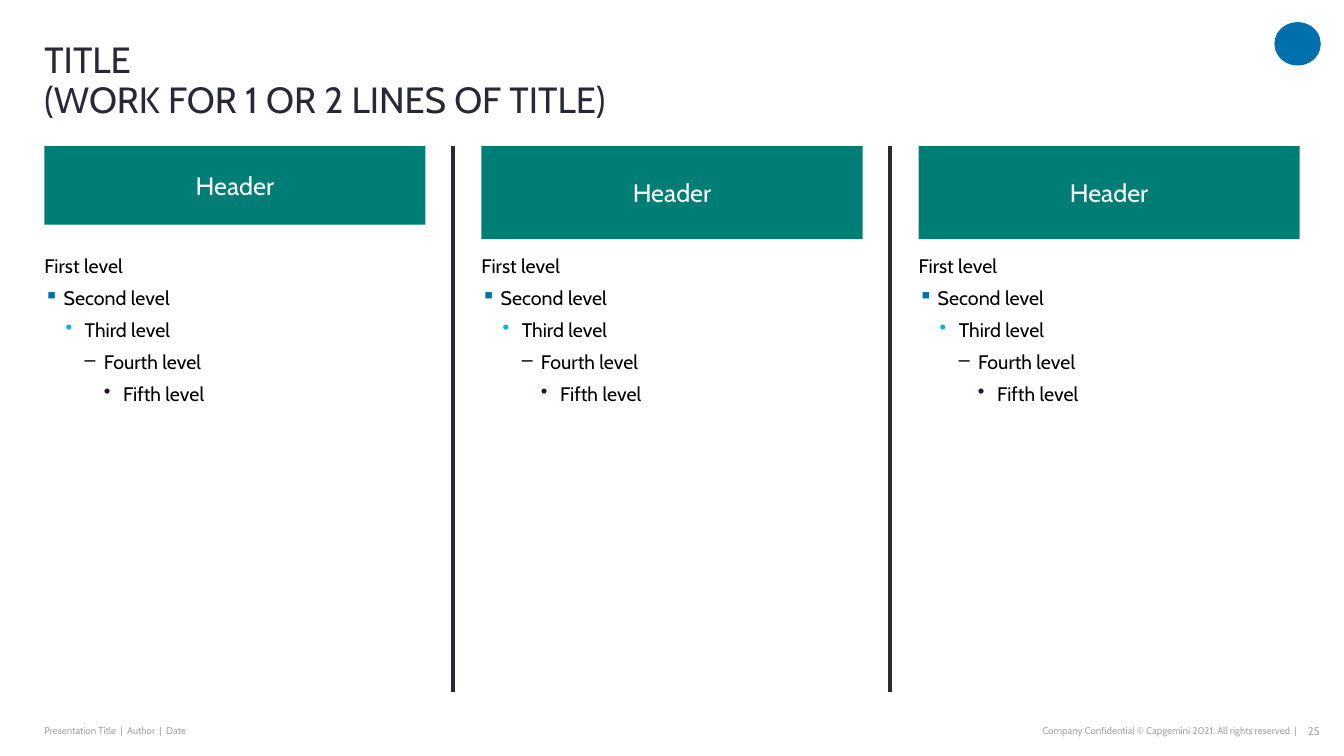
"""Build a three-column layout slide with headers and five text levels."""
from lxml.etree import SubElement
from pptx import Presentation
from pptx.dml.color import RGBColor
from pptx.enum.shapes import MSO_CONNECTOR, MSO_SHAPE
from pptx.enum.text import MSO_ANCHOR, PP_ALIGN
from pptx.oxml.ns import qn
from pptx.util import Inches, Pt

WHITE = RGBColor(0xFF, 0xFF, 0xFF)
BLACK = RGBColor(0x00, 0x00, 0x00)
DARK = RGBColor(0x27, 0x29, 0x36)
GREY = RGBColor(0xA6, 0xA6, 0xA6)
TEAL = RGBColor(0x00, 0x7D, 0x74)
BLUE = RGBColor(0x00, 0x70, 0xAD)
SKY = RGBColor(0x12, 0xAB, 0xDB)
PLUM = RGBColor(0x2B, 0x0A, 0x3D)

LEVELS = [
    ("First level", None, None, 0),
    ("Second level", "▪", BLUE, 0.19),
    ("Third level", "•", SKY, 0.4),
    ("Fourth level", "–", BLACK, 0.59),
    ("Fifth level", "•", PLUM, 0.78),
]
HEADS = [0.78, 0.92, 0.92]
LEFT, TOP, WIDTH, STEP = 0.44, 1.45, 3.78, 4.335


class Deck:
    """Hold the style and the current slide."""

    font = "Cabin"

    def __init__(self):
        self.file = Presentation()
        self.file.slide_width = Inches(13.33)
        self.file.slide_height = Inches(7.5)
        self.slide = self.file.slides.add_slide(self.file.slide_layouts[6])

    def style(self, para, size, color, align=PP_ALIGN.LEFT):
        """Set the look of one paragraph."""
        para.alignment = align
        for run in para.runs:
            run.font.name = self.font
            run.font.size = Pt(size)
            run.font.color.rgb = color

    def frame(self, shape, anchor):
        """Prepare the text frame of a shape."""
        frame = shape.text_frame
        frame.word_wrap = True
        frame.vertical_anchor = anchor
        frame.margin_left = frame.margin_right = 0
        frame.margin_top = frame.margin_bottom = 0
        return frame

    def text(self, box, words, size, color, align=PP_ALIGN.LEFT,
             anchor=MSO_ANCHOR.MIDDLE):
        """Add a text box of one paragraph."""
        shape = self.slide.shapes.add_textbox(*map(Inches, box))
        para = self.frame(shape, anchor).paragraphs[0]
        para.text = words
        self.style(para, size, color, align)
        return para

    def block(self, kind, box, fill):
        """Add a plain filled shape."""
        shape = self.slide.shapes.add_shape(kind, *map(Inches, box))
        shape.shadow.inherit = False
        shape.fill.solid()
        shape.fill.fore_color.rgb = fill
        shape.line.fill.background()
        return shape

    def header(self, box, words):
        """Add a filled column header."""
        shape = self.block(MSO_SHAPE.RECTANGLE, box, TEAL)
        para = self.frame(shape, MSO_ANCHOR.MIDDLE).paragraphs[0]
        para.text = words
        self.style(para, 18, WHITE, PP_ALIGN.CENTER)

    def bullet(self, para, mark, color, indent):
        """Give a paragraph a coloured bullet and a hanging indent."""
        props = para._p.get_or_add_pPr()
        props.set("marL", str(Inches(indent)))
        props.set("indent", str(Inches(-0.19)))
        tint = SubElement(props, qn("a:buClr"))
        SubElement(tint, qn("a:srgbClr")).set("val", str(color))
        SubElement(props, qn("a:buChar")).set("char", mark)

    def levels(self, box):
        """Add the list of text levels."""
        shape = self.slide.shapes.add_textbox(*map(Inches, box))
        frame = self.frame(shape, MSO_ANCHOR.TOP)
        frame.text = "\n".join(row[0] for row in LEVELS)
        for depth, (para, row) in enumerate(zip(frame.paragraphs, LEVELS)):
            para.level = depth
            if row[1]:
                self.bullet(para, *row[1:])
            para.space_after = Pt(6)
            self.style(para, 14, BLACK)

    def rule(self, x, top, bottom):
        """Add an upright rule between columns."""
        line = self.slide.shapes.add_connector(
            MSO_CONNECTOR.STRAIGHT, *map(Inches, (x, top, x, bottom)))
        line.line.color.rgb = DARK
        line.line.width = Pt(3)
        SubElement(line._element.spPr, qn("a:effectLst"))


def main():
    """Draw the slide and save it."""
    deck = Deck()
    deck.block(MSO_SHAPE.OVAL, (12.64, 0.22, 0.46, 0.43), BLUE)
    deck.text((LEFT, 7.13, 3.73, 0.24),
              "Presentation Title  |  Author  |  Date", 7, GREY)
    deck.text((7.9, 7.13, 4.96, 0.24),
              "Company Confidential © Capgemini 2021. All rights reserved  |",
              7, GREY, PP_ALIGN.RIGHT)
    deck.text((12.84, 7.13, 0.25, 0.24), "25", 8, GREY, PP_ALIGN.RIGHT)
    title = deck.text((LEFT, 0.42, 11.97, 0.78),
                      "TITLE\n(WORK FOR 1 OR 2 LINES OF TITLE)", 26, DARK,
                      anchor=MSO_ANCHOR.BOTTOM)
    title.line_spacing = 0.9
    for col, height in enumerate(HEADS):
        x = LEFT + col * STEP
        deck.header((x, TOP, WIDTH, height), "Header")
        deck.levels((x, 2.52, WIDTH, 4.46))
        if col:
            deck.rule(x - 0.28, TOP, 6.87)
    deck.file.save("out.pptx")


if __name__ == "__main__":
    main()
